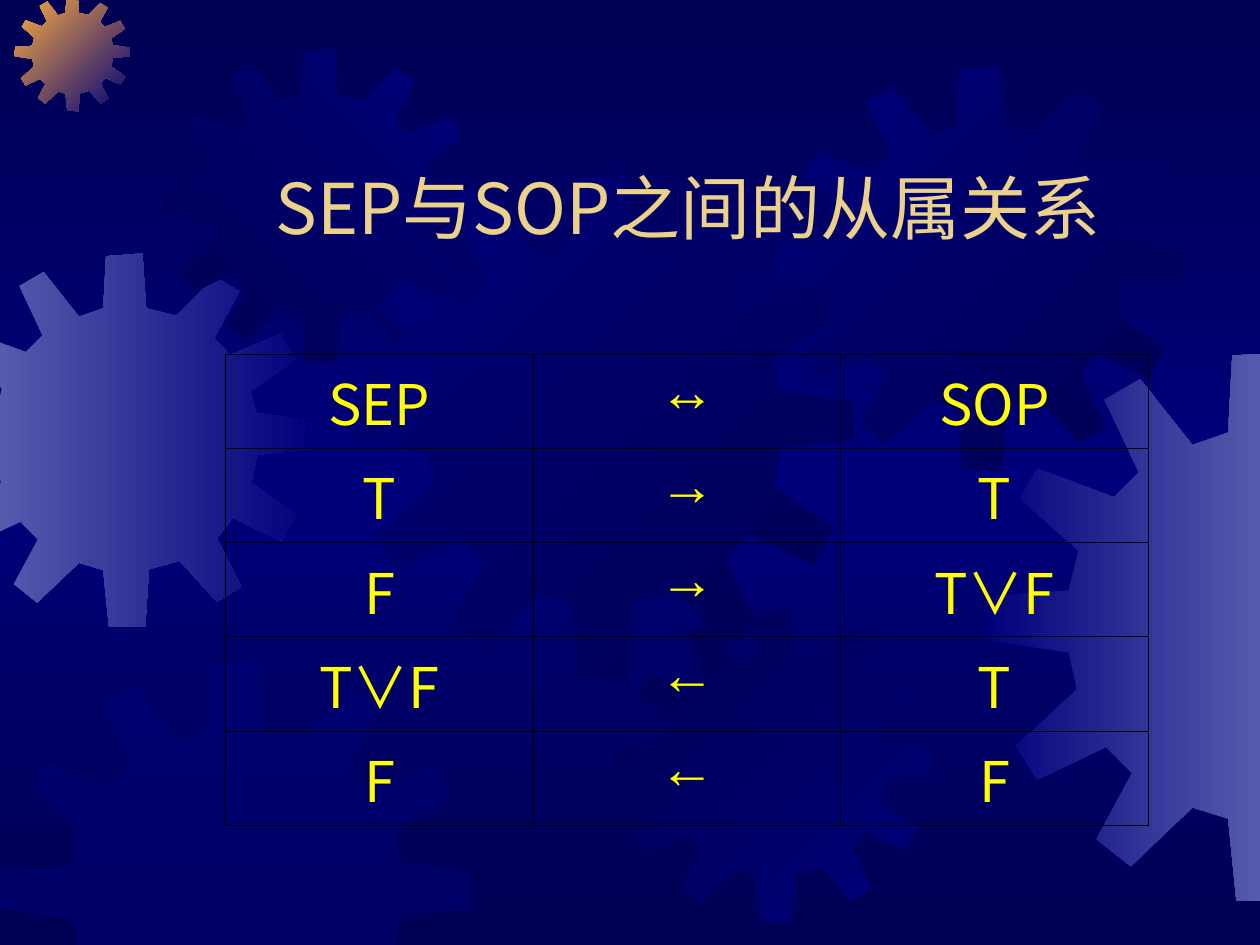
import copy
from typing import NamedTuple

import lxml.etree
import pptx
import pptx.dml.color
import pptx.enum.text
import pptx.oxml.ns
import pptx.util

Cm = pptx.util.Cm
qn = pptx.oxml.ns.qn
WIDE, HIGH = 25.4, 19.05
HUES = {"night": "000054", "navy": "00007A", "steel": "555BAD", "amber": "FCAB40",
        "sand": "EBD189", "sun": "FFFF00", "line": "000000"}
SANS = "Noto Sans CJK SC"
# Gear outline in a square of side SPAN
SPAN = 401
TEETH = [
    (255, 67), (223, 59), (219, 0), (180, 3), (177, 59), (151, 68), (113, 20), (87, 35),
    (112, 88), (94, 106), (38, 85), (25, 107), (68, 145), (61, 174), (1, 178), (0, 210),
    (61, 219), (67, 246), (22, 287), (38, 312), (88, 288), (107, 307), (81, 355), (106, 375),
    (151, 332), (177, 340), (183, 400), (222, 401), (226, 339), (259, 330), (299, 374),
    (325, 358), (299, 306), (316, 284), (368, 309), (384, 281), (336, 246), (342, 216),
    (401, 210), (400, 180), (341, 171), (335, 148), (383, 114), (367, 87), (313, 109),
    (296, 91), (323, 41), (297, 25)]


class Gear(NamedTuple):
    left: float
    top: float
    size: float
    hues: tuple
    angle: int = 0


GEARS = [
    Gear(-1.24, 5.11, 7.53, ("steel", "navy")),
    Gear(0.3, -0.08, 2.32, ("amber", "navy"), 45),
    Gear(3.3, 0.99, 6.3, ("night", "navy"), 315),
    Gear(7.04, 3.53, 10.19, ("navy", "night"), 45),
    Gear(0, 13.34, 9.5, ("navy",)),
    Gear(12.47, 12.29, 6.3, ("night", "navy"), 45),
    Gear(15.7, 1.35, 8.13, ("navy", "night"), 45),
    Gear(19.86, 7.09, 11.1, ("navy", "steel")),
]
COLS = [6.2] * 3
ROWS = [1.55, 1.45, 1.6, 1.6, 1.4]
CELLS = [("SEP", "↔", "SOP"), ("T", "→", "T"), ("F", "→", "T∨F"),
         ("T∨F", "←", "T"), ("F", "←", "F")]


def rgb(hue: str) -> pptx.dml.color.RGBColor:
    return pptx.dml.color.RGBColor.from_string(HUES[hue])


def style(item, **values) -> None:
    for name, value in values.items():
        setattr(item, name, value)


def crop(points: list, axis: int, bound: float, sign: int) -> list:
    """Keep the part of an outline on one side of a slide edge."""
    kept = []
    for a, b in zip(points, points[1:] + points[:1]):
        near, far = (sign * (p[axis] - bound) for p in (a, b))
        if near >= 0:
            kept.append(a)
        if near * far < 0:
            part = near / (near - far)
            kept.append(tuple(u + part * (v - u) for u, v in zip(a, b)))
    return kept


def blend(fill, hues: tuple, angle: int) -> None:
    fill.gradient()
    fill.gradient_angle = (360 - angle) % 360
    for stop, hue, place in zip(fill.gradient_stops, hues, (0, 1)):
        stop.color.rgb = rgb(hue)
        stop.position = place


def paint_back(slide) -> None:
    blend(slide.background.fill, ("night", "navy"), 90)
    stops = slide.element.find(".//" + qn("a:gsLst"))
    stops[1].set("pos", "50000")
    last = copy.deepcopy(stops[0])
    last.set("pos", "100000")
    stops.append(last)


def draw_gear(slide, gear: Gear) -> None:
    unit = gear.size / SPAN
    points = [(gear.left + x * unit, gear.top + y * unit) for x, y in TEETH]
    for edge in ((0, 0, 1), (0, WIDE, -1), (1, 0, 1), (1, HIGH, -1)):
        points = crop(points, *edge)
    points = [(Cm(x), Cm(y)) for x, y in points]
    pen = slide.shapes.build_freeform(*points[0])
    pen.add_line_segments(points[1:], close=True)
    shape = pen.convert_to_shape()
    shape.shadow.inherit = False
    shape.line.fill.background()
    if len(gear.hues) > 1:
        blend(shape.fill, gear.hues, gear.angle)
        return
    shape.fill.solid()
    shape.fill.fore_color.rgb = rgb(gear.hues[0])
    tint = shape.element.spPr.find(".//" + qn("a:srgbClr"))
    lxml.etree.SubElement(tint, qn("a:alpha"), val="50000")


def write(frame, text: str, size: int, hue: str, face: str = SANS) -> None:
    para = frame.paragraphs[0]
    para.alignment = pptx.enum.text.PP_ALIGN.CENTER
    run = para.add_run()
    run.text = text
    style(run.font, size=pptx.util.Pt(size), name=face, bold=False)
    run.font.color.rgb = rgb(hue)
    lxml.etree.SubElement(run.font._element, qn("a:ea"), typeface=face)


def rule(cell) -> None:
    """Give a cell thin lines on all four sides."""
    props = cell._tc.get_or_add_tcPr()
    for side in "LRTB":
        line = lxml.etree.SubElement(props, qn("a:ln" + side), w=str(pptx.util.Pt(0.45)))
        fill = lxml.etree.SubElement(line, qn("a:solidFill"))
        lxml.etree.SubElement(fill, qn("a:srgbClr"), val=HUES["line"])


def draw_table(slide) -> None:
    table = slide.shapes.add_table(len(ROWS), len(COLS), Cm(4.55), Cm(7.14),
                                   Cm(sum(COLS)), Cm(sum(ROWS))).table
    style(table, first_row=False, horz_banding=False)
    for col, width in zip(table.columns, COLS):
        col.width = Cm(width)
    for row, height, texts in zip(table.rows, ROWS, CELLS):
        row.height = Cm(height)
        for cell, text in zip(row.cells, texts):
            style(cell, margin_left=Cm(0.18), margin_right=Cm(0.18),
                  margin_top=Cm(0.13), margin_bottom=Cm(0.13))
            rule(cell)
            cell.fill.background()
            write(cell.text_frame, text, 32, "sun", "Arial" if text in "↔→←" else SANS)


def draw_title(slide) -> None:
    title = slide.shapes.title
    slide.shapes._spTree.append(title.element)  # in front of the gears
    style(title, left=Cm(3.07), top=Cm(3.23), width=Cm(21.59), height=Cm(1.78))
    style(title.text_frame, margin_left=0, margin_right=0, margin_top=0, margin_bottom=0,
          word_wrap=True, auto_size=pptx.enum.text.MSO_AUTO_SIZE.NONE,
          vertical_anchor=pptx.enum.text.MSO_ANCHOR.BOTTOM)
    write(title.text_frame, "SEP与SOP之间的从属关系", 40, "sand")


def main() -> None:
    deck = pptx.Presentation()
    style(deck, slide_width=Cm(WIDE), slide_height=Cm(HIGH))
    slide = deck.slides.add_slide(deck.slide_layouts[5])
    paint_back(slide)
    for gear in GEARS:
        draw_gear(slide, gear)
    draw_title(slide)
    draw_table(slide)
    deck.save("out.pptx")


if __name__ == "__main__":
    main()
